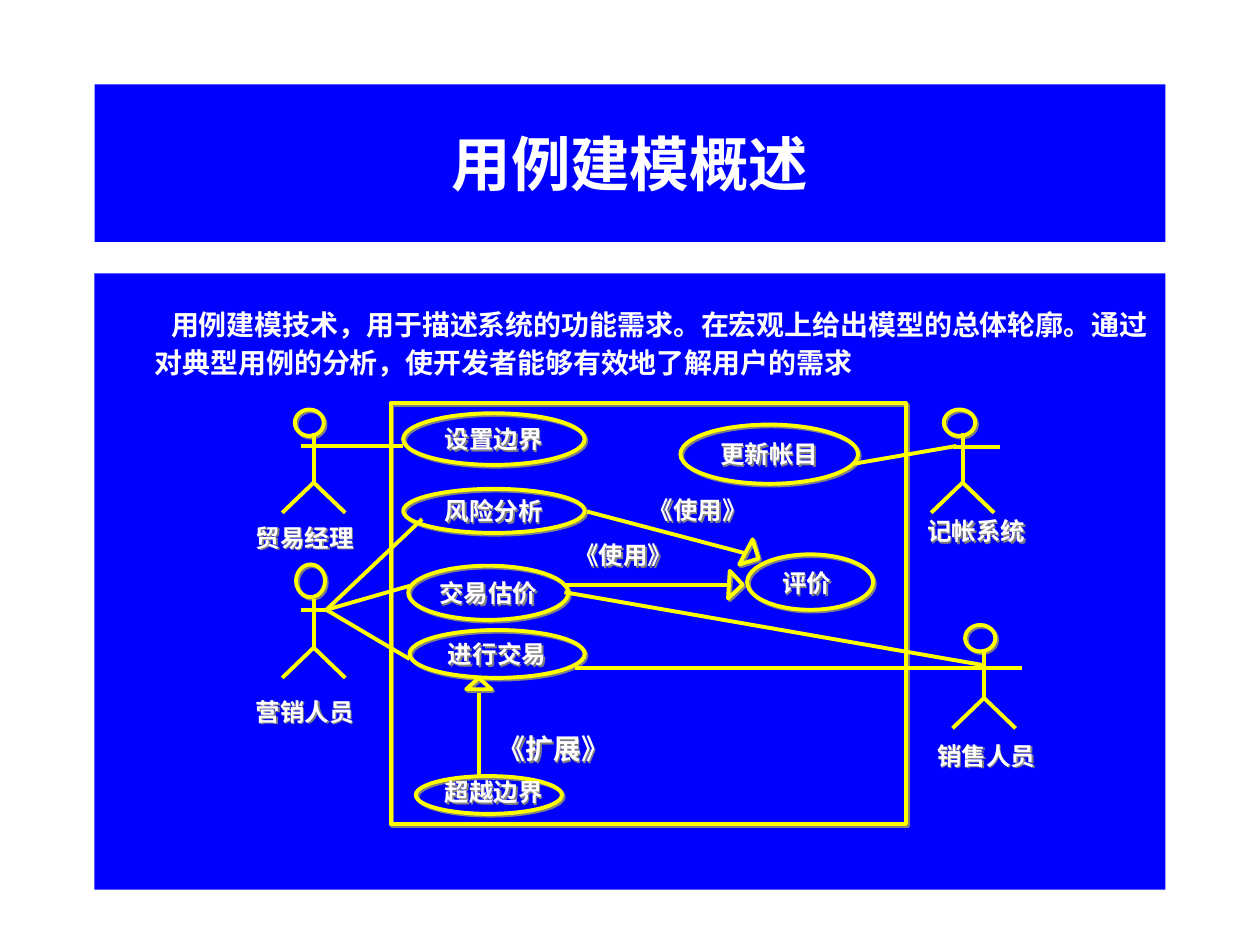
from pptx import Presentation
from pptx.dml.color import RGBColor
from pptx.enum.shapes import MSO_CONNECTOR, MSO_SHAPE
from pptx.enum.text import MSO_ANCHOR, PP_ALIGN
from pptx.oxml import parse_xml
from pptx.oxml.ns import nsdecls, qn
from pptx.util import Inches, Pt

COLORS = {"panel": "0000FF", "line": "FFFF00", "text": "FFFFFF", "shadow": "808080"}
SHADOW = (
    f'<a:effectLst {nsdecls("a")}><a:outerShdw dist="17780" dir="2700000" algn="ctr" '
    f'rotWithShape="0"><a:srgbClr val="{COLORS["shadow"]}"/></a:outerShdw></a:effectLst>'
)


def write(shape, text, size, align, anchor, latin="Times New Roman", wrap=False):
    frame = shape.text_frame
    frame.word_wrap = wrap
    frame.vertical_anchor = anchor
    paragraph = frame.paragraphs[0]
    paragraph.alignment = align
    run = paragraph.add_run()
    run.text = text
    font_format = {"size": Pt(size), "bold": True, "name": latin}
    for name, value in font_format.items():
        setattr(run.font, name, value)
    run.font.color.rgb = RGBColor.from_string(COLORS["text"])
    east_asian = parse_xml(f'<a:ea {nsdecls("a")} typeface="Noto Sans CJK SC"/>')
    run.font._element.find(qn("a:latin")).addnext(east_asian)


def outline(kind, box, rotation=0):
    shape = slide.shapes.add_shape(kind, *map(Inches, box))
    shape.rotation = rotation
    shape.fill.background()
    shape.line.color.rgb = RGBColor.from_string(COLORS["line"])
    shape.line.width = Pt(2.25)
    shape.element.spPr.append(parse_xml(SHADOW))
    return shape


presentation = Presentation()
presentation.slide_width = Inches(10)
presentation.slide_height = Inches(7.5)
slide = presentation.slides.add_slide(presentation.slide_layouts[5])

title = slide.shapes.title
body = slide.shapes.add_textbox(0, 0, 0, 0)
for panel, top, height in [(title, 0.67, 1.25), (body, 2.17, 4.89)]:
    panel_format = {"left": 0.75, "top": top, "width": 8.5, "height": height}
    for name, value in panel_format.items():
        setattr(panel, name, Inches(value))
    panel.fill.solid()
    panel.fill.fore_color.rgb = RGBColor.from_string(COLORS["panel"])

write(title, "用例建模概述", 34, PP_ALIGN.CENTER, MSO_ANCHOR.MIDDLE, "Noto Sans CJK SC", True)
write(
    body,
    "用例建模技术，用于描述系统的功能需求。在宏观上给出模型的总体轮廓。通过"
    "对典型用例的分析，使开发者能够有效地了解用户的需求",
    16, PP_ALIGN.LEFT, MSO_ANCHOR.TOP, wrap=True,
)
body.text_frame.margin_top = Inches(0.23)
body_paragraph = body.text_frame.paragraphs[0]
body_paragraph.line_spacing = 1.15
body_properties = body_paragraph._p.get_or_add_pPr()
body_properties.set("marL", str(Inches(0.38)))
body_properties.set("indent", str(Inches(0.13)))

outline(MSO_SHAPE.RECTANGLE, (3.1, 3.2, 4.09, 3.34))

use_cases = [
    ("风险分析", (3.2, 3.88, 1.44, 0.35)),
    ("设置边界", (3.2, 3.28, 1.44, 0.41)),
    ("", (3.3, 6.16, 1.16, 0.3)),
    ("进行交易", (3.25, 5, 1.39, 0.38)),
    ("交易估价", (3.24, 4.49, 1.27, 0.43)),
    ("更新帐目", (5.4, 3.37, 1.41, 0.47)),
    ("", (5.93, 4.4, 1, 0.44)),
]
for text, box in use_cases:
    oval = outline(MSO_SHAPE.OVAL, box)
    if text:
        write(oval, text, 14, PP_ALIGN.CENTER, MSO_ANCHOR.MIDDLE)

actors = [
    ((2.34, 3.25, 0.23, 0.21), 2.49, 3.44),
    ((7.49, 3.25, 0.25, 0.21), 7.64, 3.44),
    ((2.35, 4.48, 0.23, 0.26), 2.49, 4.75),
    ((7.66, 4.96, 0.24, 0.21), 7.81, 5.15),
]
lines = []
for head, center, neck in actors:
    outline(MSO_SHAPE.OVAL, head)
    hip = neck + 0.39
    lines.append((center, neck, center, hip))
    for side in (-0.25, 0.25):
        lines.append((center, hip, center + side, hip + 0.24))

lines += [
    (2.39, 3.54, 2.59, 3.54),
    (2.39, 4.84, 2.59, 4.84),
    (7.56, 3.55, 7.94, 3.55),
    (2.59, 3.54, 3.2, 3.54),
    (2.59, 4.84, 3.35, 4.12),
    (2.59, 4.84, 3.25, 4.65),
    (2.59, 4.84, 3.25, 5.23),
    (4.48, 4.7, 7.81, 5.28),
    (6.78, 3.68, 7.59, 3.54),
    (4.47, 4.64, 5.78, 4.64),
    (4.66, 4.06, 5.91, 4.39),
    (3.8, 5.47, 3.8, 6.16),
    (4.56, 5.3, 8.11, 5.3),
]
for ends in lines:
    connector = slide.shapes.add_connector(MSO_CONNECTOR.STRAIGHT, *map(Inches, ends))
    connector.line.color.rgb = RGBColor.from_string(COLORS["line"])
    connector.line.width = Pt(2.25)
    connector.element.spPr.append(parse_xml(f'<a:effectLst {nsdecls("a")}/>'))

outline(MSO_SHAPE.ISOSCELES_TRIANGLE, (3.7, 5.38, 0.2, 0.09))
outline(MSO_SHAPE.RIGHT_TRIANGLE, (5.84, 4.3, 0.16, 0.16), 253.1)
outline(MSO_SHAPE.RIGHT_TRIANGLE, (5.71, 4.56, 0.15, 0.16), 226.7)

labels = [
    ("贸易经理", 1.93, 4.1, 1, 14),
    ("《使用》", 5.05, 3.88, 1, 14),
    ("《使用》", 4.46, 4.24, 1, 14),
    ("《扩展》", 3.85, 5.76, 1.12, 16),
    ("营销人员", 1.93, 5.48, 1, 14),
    ("超越边界", 3.43, 6.12, 1.03, 14),
    ("评价", 6.11, 4.46, 0.6, 14),
    ("记帐系统", 7.26, 4.05, 1, 14),
    ("销售人员", 7.34, 5.83, 1, 14),
]
for text, left, top, width, size in labels:
    label = slide.shapes.add_textbox(Inches(left), Inches(top), Inches(width), Inches(0.34))
    write(label, text, size, PP_ALIGN.LEFT, MSO_ANCHOR.TOP)
    label.element.spPr.append(parse_xml(SHADOW))

presentation.save("out.pptx")
